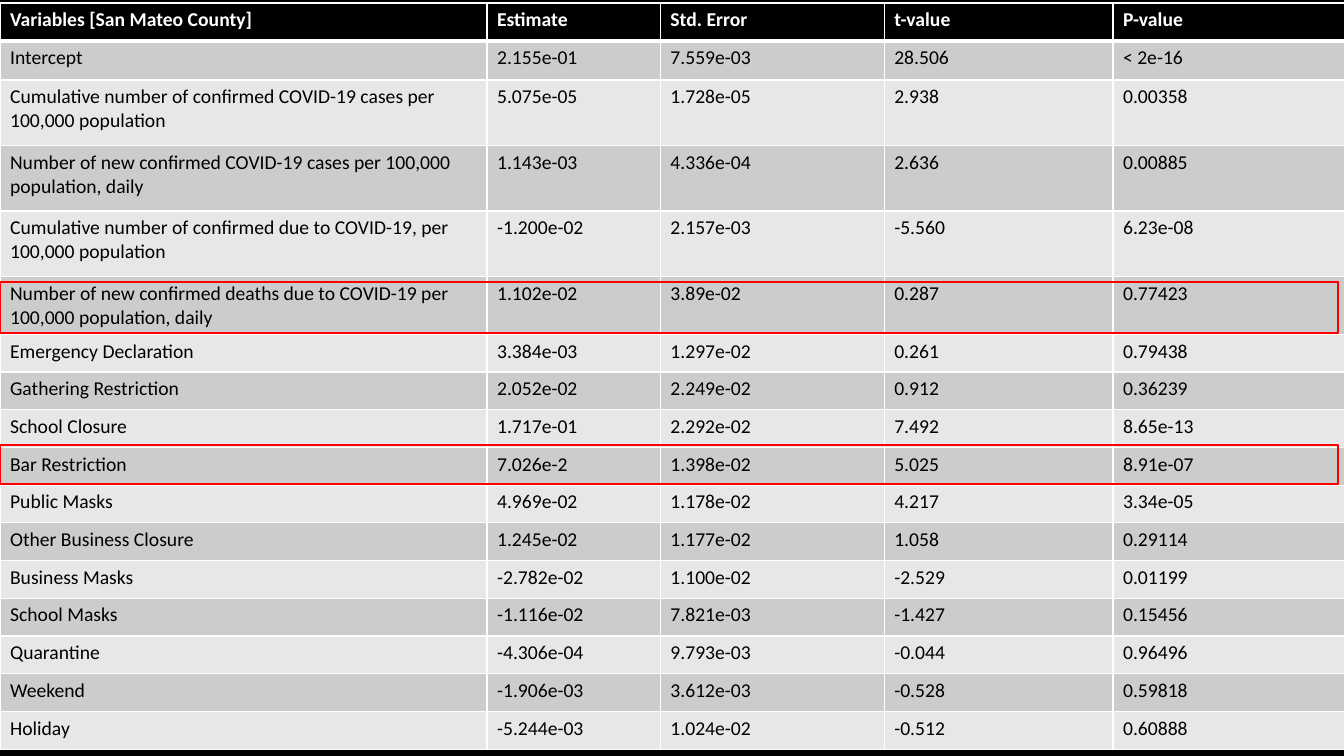
from lxml import etree
from pptx import Presentation
from pptx import util as u
from pptx.dml.color import RGBColor
from pptx.enum import shapes
from pptx.oxml import ns

BLACK = RGBColor(0x00, 0x00, 0x00)
WHITE = RGBColor(0xFF, 0xFF, 0xFF)
DARK_BAND = RGBColor(0xCC, 0xCC, 0xCC)
LIGHT_BAND = RGBColor(0xE7, 0xE7, 0xE7)
RED = RGBColor(0xFF, 0x00, 0x00)
BLUE = RGBColor(0x44, 0x72, 0xC4)

SLIDE_SIZE = (13.33, 7.5)
TABLE_BOX = (0, 0.03, 13.33, 7.39)
COLUMN_WIDTHS = [4.83, 1.72, 2.22, 2.27, 2.3]
SPECIAL_HEIGHTS = {1: 0.39, 2: 0.65, 3: 0.65, 4: 0.65, 5: 0.56}

REGRESSION = [
    ("Variables [San Mateo County]", "Estimate", "Std. Error", "t-value", "P-value"),
    ("Intercept", "2.155e-01", "7.559e-03", "28.506", "< 2e-16"),
    ("Cumulative number of confirmed COVID-19 cases per 100,000 population",
     "5.075e-05", "1.728e-05", "2.938", "0.00358"),
    ("Number of new confirmed COVID-19 cases per 100,000 population, daily",
     "1.143e-03", "4.336e-04", "2.636", "0.00885"),
    ("Cumulative number of confirmed due to COVID-19, per 100,000 population",
     "-1.200e-02", "2.157e-03", "-5.560", "6.23e-08"),
    ("Number of new confirmed deaths due to COVID-19 per 100,000 population, daily",
     "1.102e-02", "3.89e-02", "0.287", "0.77423"),
    ("Emergency Declaration", "3.384e-03", "1.297e-02", "0.261", "0.79438"),
    ("Gathering Restriction", "2.052e-02", "2.249e-02", "0.912", "0.36239"),
    ("School Closure", "1.717e-01", "2.292e-02", "7.492", "8.65e-13"),
    ("Bar Restriction", "7.026e-2", "1.398e-02", "5.025", "8.91e-07"),
    ("Public Masks", "4.969e-02", "1.178e-02", "4.217", "3.34e-05"),
    ("Other Business Closure", "1.245e-02", "1.177e-02", "1.058", "0.29114"),
    ("Business Masks", "-2.782e-02", "1.100e-02", "-2.529", "0.01199"),
    ("School Masks", "-1.116e-02", "7.821e-03", "-1.427", "0.15456"),
    ("Quarantine", "-4.306e-04", "9.793e-03", "-0.044", "0.96496"),
    ("Weekend", "-1.906e-03", "3.612e-03", "-0.528", "0.59818"),
    ("Holiday", "-5.244e-03", "1.024e-02", "-0.512", "0.60888"),
]


def row_heights(total):
    plain_count = len(REGRESSION) - len(SPECIAL_HEIGHTS)
    plain = (total - sum(SPECIAL_HEIGHTS.values())) / plain_count
    return [SPECIAL_HEIGHTS.get(row, plain) for row in range(len(REGRESSION))]


def set_borders(cell, top, bottom):
    properties = cell._tc.get_or_add_tcPr()
    for side, points in (("lnL", 1), ("lnR", 1), ("lnT", top), ("lnB", bottom)):
        line = etree.SubElement(properties, ns.qn("a:" + side), w=str(u.Pt(points)))
        fill = etree.SubElement(line, ns.qn("a:solidFill"))
        etree.SubElement(fill, ns.qn("a:srgbClr"), val=str(WHITE))


def format_cell(cell, content, row):
    is_header = row == 0
    set_borders(cell, 3 if row == 1 else 1, 3 if is_header else 1)
    cell.fill.solid()
    cell.fill.fore_color.rgb = BLACK if is_header else DARK_BAND if row % 2 else LIGHT_BAND
    cell.text_frame.text = content
    font = cell.text_frame.paragraphs[0].runs[0].font
    font.name = "Calibri"
    font.size = u.Pt(14)
    font.bold = is_header
    font.color.rgb = WHITE if is_header else BLACK


def add_regression_table(slide, box):
    frame = slide.shapes.add_table(len(REGRESSION), len(COLUMN_WIDTHS), *map(u.Inches, box))
    table = frame.table
    for column, width in zip(table.columns, COLUMN_WIDTHS):
        column.width = u.Inches(width)
    for row, height in enumerate(row_heights(box[3])):
        table.rows[row].height = u.Inches(height)
        for column, content in enumerate(REGRESSION[row]):
            format_cell(table.cell(row, column), content, row)


def add_row_highlight(slide, box, row, inset):
    left, top, width, height = box
    heights = row_heights(height)
    row_top = top + sum(heights[:row])
    shape = slide.shapes.add_shape(
        shapes.MSO_SHAPE.FRAME, u.Inches(left), u.Inches(row_top + inset),
        u.Inches(width - 0.06), u.Inches(heights[row] - inset))
    shape.adjustments[0] = 0.01
    shape.shadow.inherit = False
    shape.fill.solid()
    shape.fill.fore_color.rgb = BLUE
    shape.line.color.rgb = RED
    shape.line.width = u.Pt(1)


def build_results_slide(presentation):
    slide = presentation.slides.add_slide(presentation.slide_layouts[6])
    slide.background.fill.solid()
    slide.background.fill.fore_color.rgb = BLACK
    add_regression_table(slide, TABLE_BOX)
    add_row_highlight(slide, TABLE_BOX, row=9, inset=-0.01)
    add_row_highlight(slide, TABLE_BOX, row=5, inset=0.05)


def main():
    presentation = Presentation()
    presentation.slide_width, presentation.slide_height = map(u.Inches, SLIDE_SIZE)
    build_results_slide(presentation)
    presentation.save("out.pptx")


if __name__ == "__main__":
    main()
